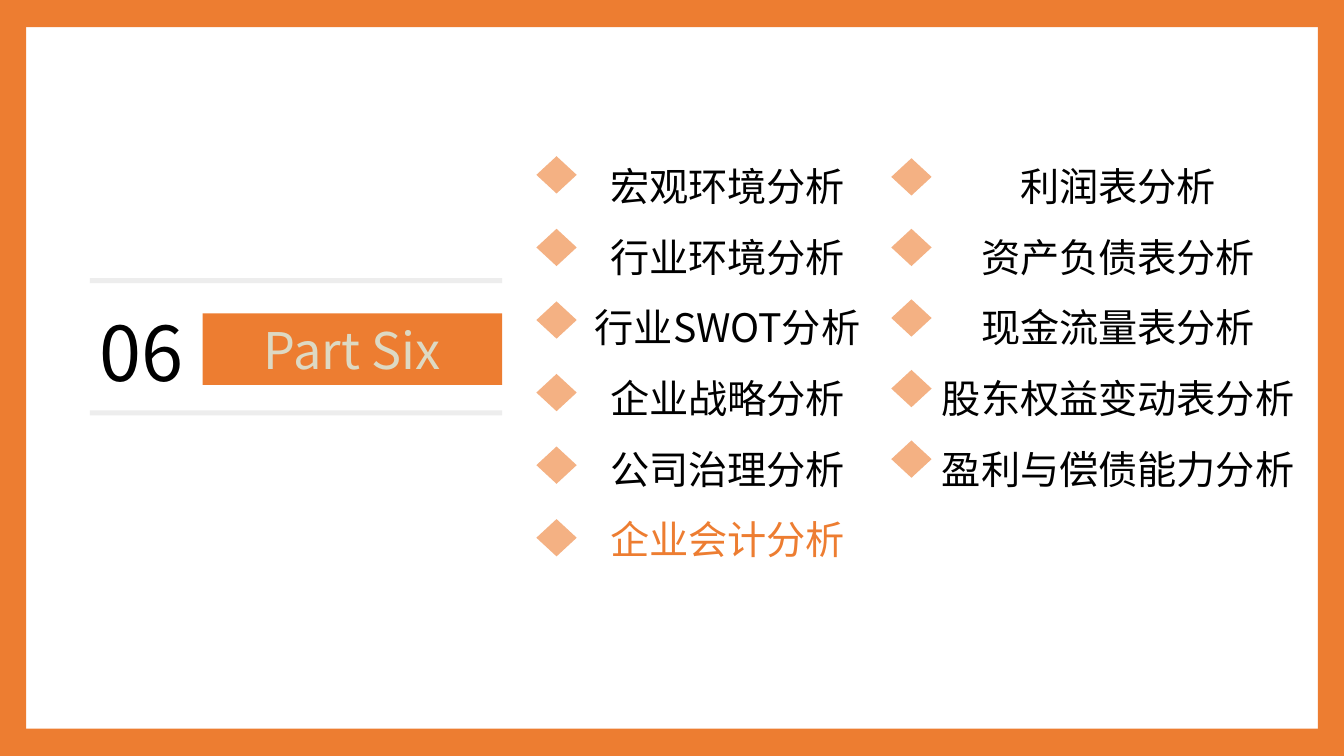
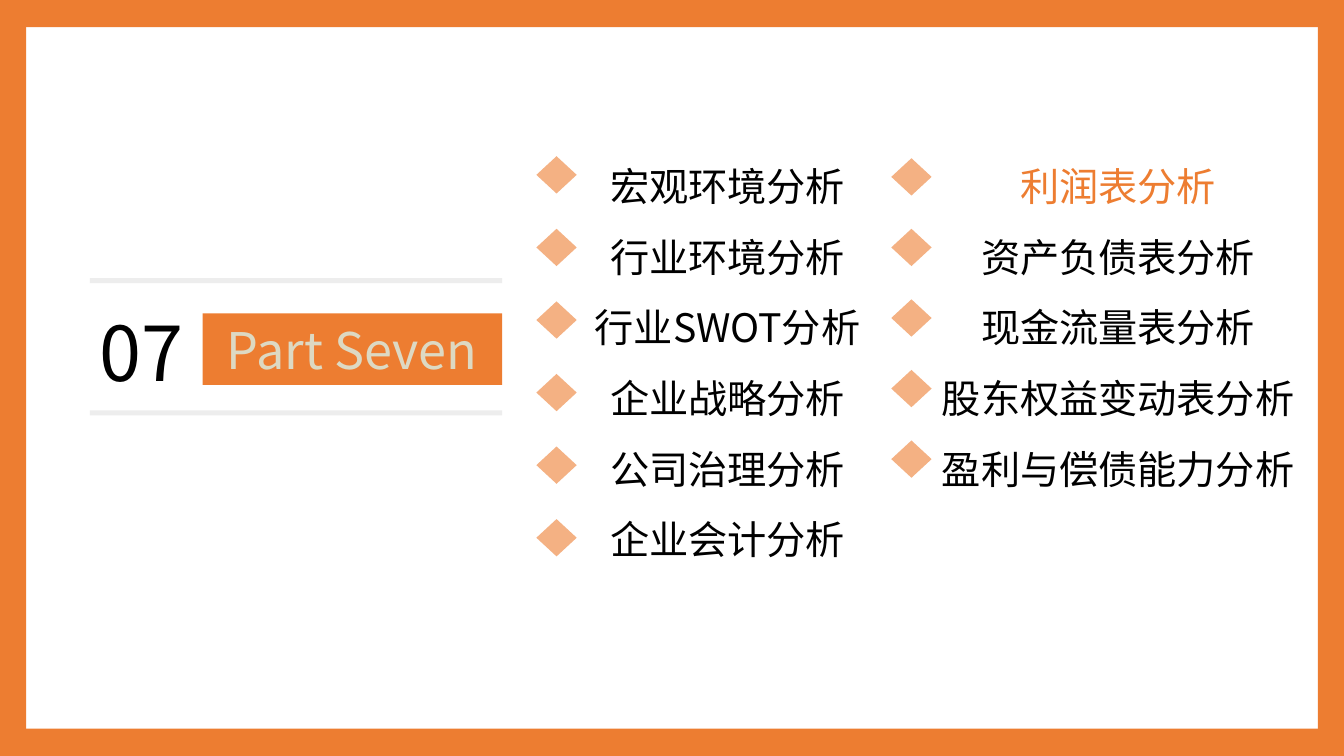
from pptx import Presentation
from pptx.dml.color import RGBColor
from pptx.enum.shapes import MSO_SHAPE
from pptx.enum.text import MSO_ANCHOR, PP_ALIGN
from pptx.oxml.ns import qn
from pptx.util import Inches, Pt
from lxml.etree import SubElement

ORANGE = RGBColor(0xED, 0x7D, 0x31)
PEACH = RGBColor(0xF4, 0xB1, 0x83)
PALE_GRAY = RGBColor(0xED, 0xED, 0xED)
SAND = RGBColor(0xDD, 0xD9, 0xC3)
BLACK = RGBColor(0, 0, 0)
FONT = "Noto Sans CJK SC"
SLIDE_W, SLIDE_H = 13.33, 7.5

ENVIRONMENT_TOPICS = [
    "宏观环境分析", "行业环境分析", "行业SWOT分析",
    "企业战略分析", "公司治理分析", "企业会计分析",
]
STATEMENT_TOPICS = [
    "利润表分析", "资产负债表分析", "现金流量表分析",
    "股东权益变动表分析", "盈利与偿债能力分析",
]
SECTIONS = [
    ("06", "Part Six", "企业会计分析"),
    ("07", "Part Seven", "利润表分析"),
]


def add_block(slide, left, top, width, height, color, kind=MSO_SHAPE.RECTANGLE):
    block = slide.shapes.add_shape(
        kind, Inches(left), Inches(top), Inches(width), Inches(height))
    block.shadow.inherit = False
    block.fill.solid()
    block.fill.fore_color.rgb = color
    block.line.fill.background()
    return block


def add_text(slide, left, top, width, height):
    box = slide.shapes.add_textbox(
        Inches(left), Inches(top), Inches(width), Inches(height))
    box.text_frame.word_wrap = True
    return box.text_frame


def style_paragraph(paragraph, size, color, align=PP_ALIGN.CENTER):
    paragraph.alignment = align
    for run in paragraph.runs:
        run.font.size = Pt(size)
        run.font.color.rgb = color
        run.font.name = FONT
        SubElement(run.font._element, qn("a:ea")).set("typeface", FONT)


def add_frame(slide, thickness=0.26):
    for top in (0, SLIDE_H - 0.27):
        add_block(slide, 0, top, SLIDE_W, 0.27, ORANGE)
    for left in (0, SLIDE_W - thickness):
        add_block(slide, left, 0, thickness, SLIDE_H, ORANGE)


def add_section_label(slide, left, top, width, number, part):
    number_frame = add_text(slide, left, top + 0.23, 1.96, 1.01)
    number_frame.text = number
    style_paragraph(number_frame.paragraphs[0], 54, BLACK, PP_ALIGN.LEFT)

    for rule_top in (top, top + 1.31):
        add_block(slide, left, rule_top, width, 0.05, PALE_GRAY)

    band = add_block(slide, left + 1.12, top + 0.35, width - 1.12, 0.71, ORANGE)
    band.text_frame.text = part
    band.text_frame.vertical_anchor = MSO_ANCHOR.MIDDLE
    style_paragraph(band.text_frame.paragraphs[0], 36, SAND)


def add_topics(slide, left, top, width, height, topics, current,
               marker_left, marker_top, pitch):
    for row in range(len(topics)):
        add_block(slide, marker_left, marker_top + row * pitch,
                  0.4, 0.37, PEACH, MSO_SHAPE.DIAMOND)

    topic_frame = add_text(slide, left, top, width, height)
    topic_frame.text = "\n".join(topics)
    for paragraph, topic in zip(topic_frame.paragraphs, topics):
        paragraph.line_spacing = 1.5
        style_paragraph(paragraph, 28, ORANGE if topic == current else BLACK)


def build_section(presentation, number, part, current):
    slide = presentation.slides.add_slide(presentation.slide_layouts[6])
    add_frame(slide)
    add_section_label(slide, 0.89, 2.76, 4.09, number, part)
    add_topics(slide, 5.19, 1.33, 4.05, 4.34, ENVIRONMENT_TOPICS, current,
               marker_left=5.32, marker_top=1.55, pitch=0.72)
    add_topics(slide, 9.16, 1.33, 3.86, 3.64, STATEMENT_TOPICS, current,
               marker_left=8.84, marker_top=1.57, pitch=0.7)


def main():
    presentation = Presentation()
    presentation.slide_width = Inches(SLIDE_W)
    presentation.slide_height = Inches(SLIDE_H)
    for number, part, current in SECTIONS:
        build_section(presentation, number, part, current)
    presentation.save("out.pptx")


if __name__ == "__main__":
    main()
